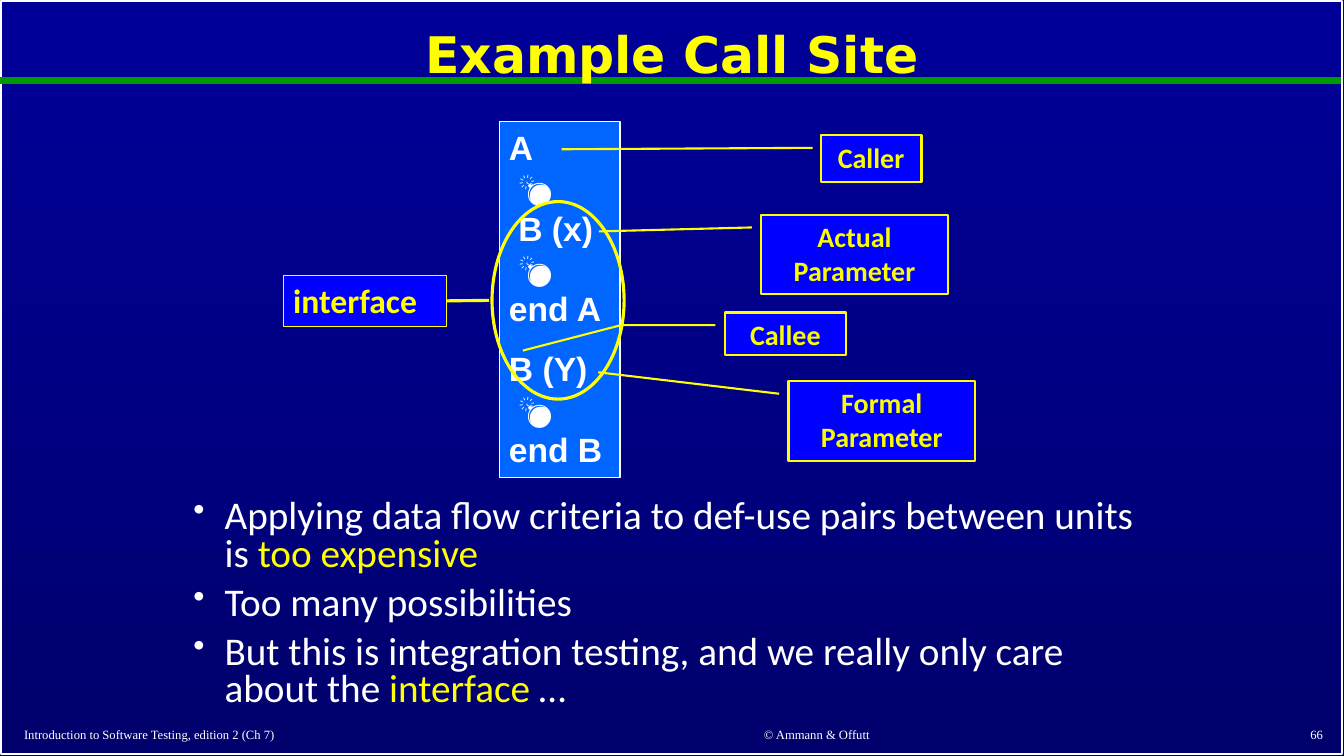
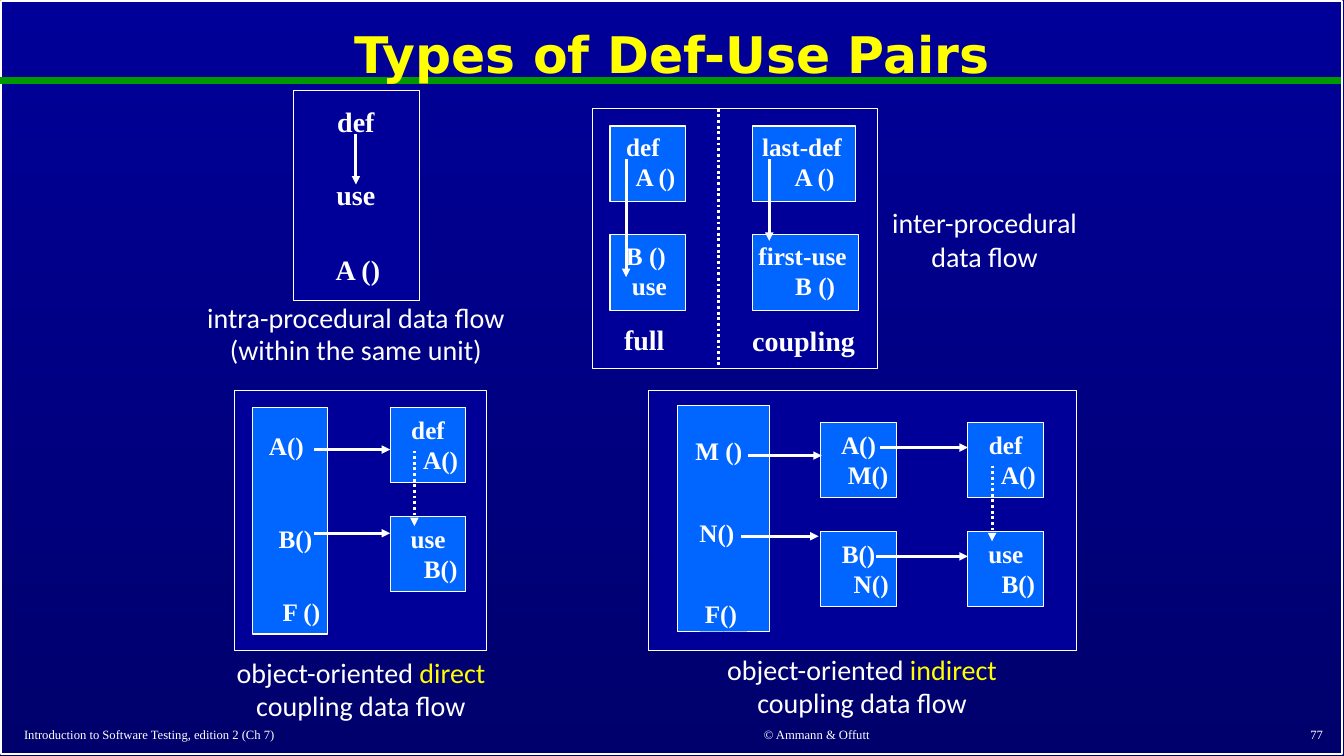
import dataclasses

import lxml.etree
import pptx
import pptx.dml.color
import pptx.enum.dml
import pptx.enum.shapes
import pptx.enum.text
import pptx.oxml.ns
import pptx.util

Inches = pptx.util.Inches
Pt = pptx.util.Pt
SHAPE = pptx.enum.shapes.MSO_SHAPE
ALIGN = pptx.enum.text.PP_ALIGN
ANCHOR = pptx.enum.text.MSO_ANCHOR
qn = pptx.oxml.ns.qn


@dataclasses.dataclass(frozen=True)
class Style:
    font: str
    size: int
    color: str
    bold: bool = False


@dataclasses.dataclass(frozen=True)
class Theme:
    sky: str = "000099"
    deep: str = "00006D"
    rule: str = "009900"
    unit: str = "0066FF"
    tag: str = "0000FF"
    white: str = "FFFFFF"
    yellow: str = "FFFF00"
    title: Style = Style("DejaVu Sans", 36, "FFFF00", True)
    body: Style = Style("Calibri", 28, "FFFFFF")
    caption: Style = Style("Calibri", 20, "FFFFFF")
    callout: Style = Style("Calibri", 20, "FAFD00", True)
    interface: Style = Style("Calibri", 24, "FFFF00", True)
    code: Style = Style("Arial", 24, "FFFFFF", True)
    label: Style = Style("Times New Roman", 20, "FFFFFF", True)
    unit_text: Style = Style("Times New Roman", 18, "FFFFFF", True)
    footer: Style = Style("Times New Roman", 9, "FFFFFF")


THEME = Theme()


def rgb(color):
    return pptx.dml.color.RGBColor.from_string(color)


# Text
def write(shape, paragraphs, style, align=ALIGN.LEFT, anchor=ANCHOR.TOP,
          insets=(0.1, 0.05, 0.1, 0.05), spacing=None, before=0):
    """Each paragraph is a string or a list of (text, color) runs."""
    frame = shape.text_frame
    frame.word_wrap = True
    frame.auto_size = pptx.enum.text.MSO_AUTO_SIZE.NONE
    frame.vertical_anchor = anchor
    (frame.margin_left, frame.margin_top,
     frame.margin_right, frame.margin_bottom) = map(Inches, insets)
    for index, content in enumerate(paragraphs):
        paragraph = frame.add_paragraph() if index else frame.paragraphs[0]
        paragraph.alignment = align
        if spacing:
            paragraph.line_spacing = spacing
        if index and before:
            paragraph.space_before = Pt(before)
        runs = [(content, style.color)] if isinstance(content, str) else content
        for text, color in runs:
            for line_number, line in enumerate(text.split("\n")):
                if line_number:
                    paragraph.add_line_break()
                run = paragraph.add_run()
                run.text = line
                run.font.name = style.font
                run.font.size = Pt(style.size)
                run.font.bold = style.bold
                run.font.color.rgb = rgb(color)
    return frame.paragraphs


def indent(paragraph, left, first=0):
    properties = paragraph._p.get_or_add_pPr()
    properties.set("marL", str(Inches(left)))
    properties.set("indent", str(Inches(first)))
    return properties


def add_text(slide, box, paragraphs, style, **layout):
    text_box = slide.shapes.add_textbox(*map(Inches, box))
    return write(text_box, paragraphs, style, **layout)


def add_bullets(slide, box, items):
    for paragraph in add_text(slide, box, items, THEME.body, spacing=0.8, before=8):
        properties = indent(paragraph, 0.31, -0.31)
        lxml.etree.SubElement(properties, qn("a:buSzPct"), val="85000")
        lxml.etree.SubElement(properties, qn("a:buChar"), char="•")


def add_label(slide, center, top, text, style=THEME.unit_text):
    add_text(slide, (center - 0.55, top, 1.1, 0.4), [text], style,
             align=ALIGN.CENTER, insets=(0, 0.05, 0, 0.05))


def add_caption(slide, box, paragraphs, **layout):
    add_text(slide, box, paragraphs, THEME.caption, align=ALIGN.CENTER, **layout)


# Shapes and lines
def add_box(slide, box, fill=None, line=THEME.white, width=0.75, kind=SHAPE.RECTANGLE):
    shape = slide.shapes.add_shape(kind, *map(Inches, box))
    shape.shadow.inherit = False
    if fill:
        shape.fill.solid()
        shape.fill.fore_color.rgb = rgb(fill)
    else:
        shape.fill.background()
    shape.line.color.rgb = rgb(line)
    shape.line.width = Pt(width)
    return shape


def add_line(slide, start, end, color=THEME.white, width=2, dotted=False, arrow=False):
    connector = slide.shapes.add_connector(
        pptx.enum.shapes.MSO_CONNECTOR.STRAIGHT, *map(Inches, start + end))
    connector.line.color.rgb = rgb(color)
    connector.line.width = Pt(width)
    if dotted:
        connector.line.dash_style = pptx.enum.dml.MSO_LINE.ROUND_DOT
    properties = connector.element.spPr
    if arrow:
        lxml.etree.SubElement(properties.find(qn("a:ln")), qn("a:tailEnd"), type="triangle")
    lxml.etree.SubElement(properties, qn("a:effectLst"))
    return connector


def add_arrow(slide, start, end, dotted=False):
    add_line(slide, start, end, dotted=dotted, arrow=True)


def add_callout(slide, box, text, pointer):
    kind = SHAPE.LINE_CALLOUT_1 if len(pointer) == 4 else SHAPE.LINE_CALLOUT_2
    callout = add_box(slide, box, THEME.tag, THEME.yellow, 1.5, kind)
    for index, value in enumerate(pointer):
        callout.adjustments[index] = value
    write(callout, [text], THEME.callout, align=ALIGN.CENTER)


def add_unit(slide, left, top, lines, width=0.75, indents=(0, 0.25), drop=0.07, right=0):
    """A program unit: two centred lines, each moved right by its indent."""
    unit = add_box(slide, (left, top, width, 0.75), THEME.unit)
    paragraphs = write(unit, lines, THEME.unit_text, align=ALIGN.CENTER,
                       insets=(0, drop, right, 0))
    for paragraph, left_indent in zip(paragraphs, indents):
        indent(paragraph, left_indent)


# Shared parts
def decorate_master(prs, slide):
    master = prs.slide_master
    fill = master.background.fill
    fill.gradient()
    fill.gradient_angle = 270
    for stop, color in zip(fill.gradient_stops, (THEME.sky, THEME.deep)):
        stop.color.rgb = rgb(color)
    border = add_box(slide, (0.01, 0.01, 13.3, 7.47), width=1)
    rule = add_line(slide, (0, 0.8), (13.3, 0.8), THEME.rule, 4.5)
    for number, part in enumerate((border, rule), start=101):
        part.element.xpath("./*/p:cNvPr")[0].set("id", str(number))
        master.shapes.element.append(part.element)


def start_slide(prs, title, number):
    slide = prs.slides.add_slide(prs.slide_layouts[5])
    heading = slide.shapes.title
    heading.left, heading.top, heading.width, heading.height = map(
        Inches, (0.1, 0.11, 13.13, 0.92))
    write(heading, [title], THEME.title, align=ALIGN.CENTER,
          anchor=ANCHOR.MIDDLE, spacing=0.9)
    for left, width, text, align in (
            (0.14, 5.48, "Introduction to Software Testing, edition 2 (Ch 7)", ALIGN.LEFT),
            (5.99, 4.22, "© Ammann & Offutt", ALIGN.CENTER),
            (10.44, 2.78, number, ALIGN.RIGHT)):
        add_text(slide, (left, 7.16, width, 0.26), [text], THEME.footer,
                 align=align, anchor=ANCHOR.MIDDLE)
    return slide


# Slide: call site
def build_call_site(slide):
    listing = add_box(slide, (4.95, 1.21, 1.2, 3.53), THEME.unit)
    write(listing, ["A\n 💣\n B (x)\n 💣\nend A", "B (Y)\n 💣\nend B"],
          THEME.code, before=14)

    add_callout(slide, (8.14, 1.34, 1, 0.47), "Caller", (0.27, -0.08, 0.3, -2.57))
    add_callout(slide, (7.55, 2.13, 1.85, 0.79), "Actual Parameter",
                (0.16, -0.05, 0.21, -0.87))
    add_callout(slide, (7.82, 3.78, 1.85, 0.79), "Formal Parameter",
                (0.16, -0.05, -0.11, -1.02))
    add_callout(slide, (7.19, 3.1, 1.2, 0.42), "Callee",
                (0.3, -0.08, 0.3, -0.86, 0.9, -1.67))

    interface = add_box(slide, (2.81, 2.73, 1.62, 0.51), THEME.tag, THEME.yellow)
    write(interface, ["interface"], THEME.interface)
    add_box(slide, (4.88, 2, 1.31, 1.96), line=THEME.yellow, width=2.25, kind=SHAPE.OVAL)
    link = add_line(slide, (4.85, 2.98), (4.43, 2.98), THEME.yellow, 2.25)
    link.end_connect(interface, 3)

    add_bullets(slide, (1.82, 4.91, 9.7, 2.06), [
        [("Applying data flow criteria to def-use pairs between units is ", THEME.white),
         ("too expensive", THEME.yellow)],
        "Too many possibilities",
        [("But this is integration testing, and we really only care about the ", THEME.white),
         ("interface", THEME.yellow), (" …", THEME.white)]])


# Slide: def-use pairs
def build_intra_procedural(slide):
    add_box(slide, (2.91, 0.9, 1.25, 2.08), THEME.sky)
    for center, top, text in ((3.53, 0.99, "def"), (3.53, 1.71, "use"), (3.55, 2.46, "A ()")):
        add_label(slide, center, top, text, THEME.label)
    add_arrow(slide, (3.53, 1.33), (3.53, 1.83))
    add_caption(slide, (1.84, 3.02, 3.38, 0.67),
                ["intra-procedural data flow", "(within the same unit)"],
                spacing=0.7, before=6)


def build_inter_procedural(slide):
    add_box(slide, (5.88, 1.08, 2.82, 2.58), THEME.sky)
    add_unit(slide, 6.05, 1.25, ["def", "A ()"], drop=0.05, right=0.1)
    add_unit(slide, 6.05, 2.33, ["B ()", "use"], indents=(0.06, 0.13), drop=0.05, right=0.1)
    add_unit(slide, 7.46, 1.25, ["last-def", "A ()"], 1.03, drop=0.05, right=0.04)
    add_unit(slide, 7.46, 2.33, ["first-use", "B ()"], 1.06, drop=0.05, right=0.06)
    add_arrow(slide, (6.21, 1.58), (6.21, 2.75))
    add_arrow(slide, (7.63, 1.58), (7.63, 2.39))
    add_line(slide, (7.13, 1.08), (7.13, 3.66), dotted=True)
    add_label(slide, 6.39, 3.15, "full", THEME.label)
    add_label(slide, 7.97, 3.16, "coupling", THEME.label)
    add_caption(slide, (8.64, 1.99, 2.25, 0.77), ["inter-procedural data flow"])


def add_coupling(slide, frame, caller, labels, pair_left, pair_top, caption_at, kind):
    """Frame, calling unit, def and use units, and the caption below."""
    add_box(slide, frame, THEME.sky)
    add_box(slide, caller, THEME.unit)
    for center, top, text in labels:
        add_label(slide, center, top, text)
    add_unit(slide, pair_left, pair_top, ["def", "A()"])
    add_unit(slide, pair_left, pair_top + 1.08, ["use", "B()"])
    flow = pair_left + 0.24
    add_arrow(slide, (flow, pair_top + 0.43), (flow, pair_top + 1.18), dotted=True)
    add_caption(slide, caption_at + (3.08, 0.77), [[
        ("object-oriented ", THEME.white), (kind, THEME.yellow),
        (" coupling data flow", THEME.white)]])


def build_direct_coupling(slide):
    add_coupling(slide, (2.33, 3.87, 2.5, 2.58), (2.5, 4.04, 0.75, 2.25),
                 ((2.84, 4.22, "A()"), (2.93, 5.14, "B()"), (2.99, 5.87, "F ()")),
                 3.87, 4.04, (2.04, 6.45), "direct")
    for height in (4.46, 5.29):
        add_arrow(slide, (3.11, height), (3.87, height))


def build_indirect_coupling(slide):
    add_coupling(slide, (6.43, 3.87, 4.25, 2.58), (6.72, 4.02, 0.91, 2.25),
                 ((7.13, 4.27, "M ()"), (7.11, 5.08, "N()"), (7.15, 5.89, "F()")),
                 9.6, 4.19, (7.01, 6.42), "indirect")
    add_unit(slide, 8.14, 4.19, ["A()", "M()"], indents=(0, 0.19))
    add_unit(slide, 8.14, 5.27, ["B()", "N()"])
    for start, end, height in ((8.73, 9.6, 4.44), (8.69, 9.6, 5.52),
                               (7.42, 8.15, 4.52), (7.35, 8.12, 5.32)):
        add_arrow(slide, (start, height), (end, height))


def main():
    prs = pptx.Presentation()
    prs.slide_width, prs.slide_height = Inches(13.33), Inches(7.5)

    call_site = start_slide(prs, "Example Call Site", "66")
    decorate_master(prs, call_site)
    build_call_site(call_site)

    def_use = start_slide(prs, "Types of Def-Use Pairs", "77")
    build_intra_procedural(def_use)
    build_direct_coupling(def_use)
    build_inter_procedural(def_use)
    build_indirect_coupling(def_use)

    prs.save("out.pptx")


if __name__ == "__main__":
    main()
